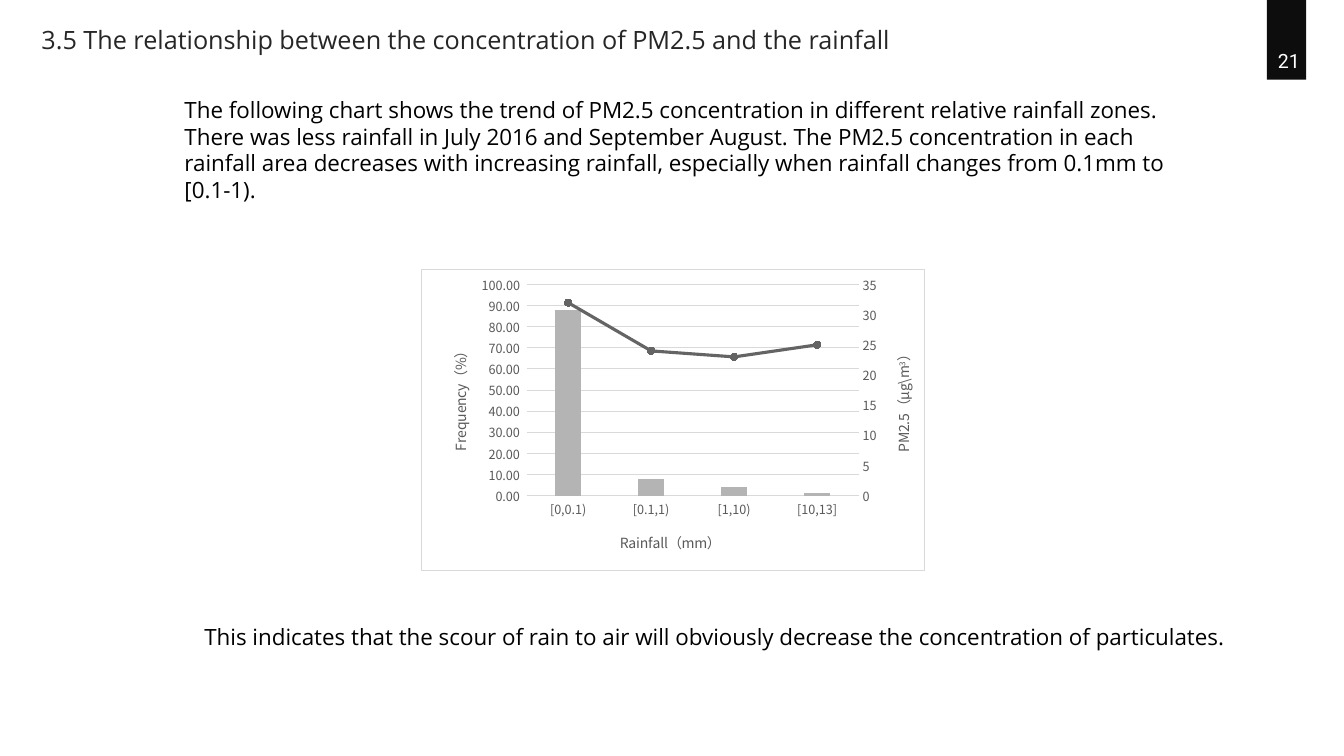
from copy import deepcopy

from lxml.etree import SubElement
from pptx import Presentation
from pptx.chart.axis import ValueAxis
from pptx.chart.data import CategoryChartData
from pptx.dml.color import RGBColor
from pptx.enum.chart import XL_CHART_TYPE, XL_MARKER_STYLE, XL_TICK_LABEL_POSITION, XL_TICK_MARK
from pptx.enum.shapes import MSO_SHAPE
from pptx.enum.text import MSO_ANCHOR, PP_ALIGN
from pptx.oxml import parse_xml
from pptx.oxml.ns import nsdecls, qn
from pptx.util import Cm, Pt

BLACK = RGBColor(0x00, 0x00, 0x00)
TAB_BLACK = RGBColor(0x0D, 0x0D, 0x0D)
WHITE = RGBColor(0xFF, 0xFF, 0xFF)
TITLE_GREY = RGBColor(0x26, 0x26, 0x26)
AXIS_GREY = RGBColor(0x59, 0x59, 0x59)
RULE_GREY = RGBColor(0xD9, 0xD9, 0xD9)
BAR_GREY = RGBColor(0xB4, 0xB4, 0xB4)
LINE_GREY = RGBColor(0x64, 0x64, 0x64)

TEXT_FONT = "Open Sans"
NUMBER_FONT = "Roboto"
CHART_FONT = "Noto Sans CJK SC"

TITLE = "3.5 The relationship between the concentration of PM2.5 and the rainfall"
INTRODUCTION = (
    "The following chart shows the trend of PM2.5 concentration in different relative "
    "rainfall zones. There was less rainfall in July 2016 and September August. The PM2.5 "
    "concentration in each rainfall area decreases with increasing rainfall, especially when "
    "rainfall changes from 0.1mm to [0.1-1)."
)
CONCLUSION = (
    "This indicates that the scour of rain to air will obviously decrease the "
    "concentration of particulates."
)
RAINFALL_ZONES = ["[0,0.1)", "[0.1,1)", "[1,10)", "[10,13]"]
FREQUENCY = [88, 8, 4, 1]
CONCENTRATION = [32, 24, 23, 25]


def style_font(font, name, size, color):
    font.name = name
    font.size = Pt(size)
    font.bold = False
    font.color.rgb = color


def write_text(shape, text, name, size, color, align=PP_ALIGN.LEFT, anchor=MSO_ANCHOR.TOP):
    frame = shape.text_frame
    frame.word_wrap = True
    frame.vertical_anchor = anchor
    para = frame.paragraphs[0]
    para.alignment = align
    span = para.add_run()
    span.text = text
    style_font(span.font, name, size, color)


def add_title(page, box):
    title = page.shapes.title
    title.left, title.top, title.width, title.height = box
    write_text(title, TITLE, TEXT_FONT, 18, TITLE_GREY)


def add_body_text(page, box, text):
    write_text(page.shapes.add_textbox(*box), text, TEXT_FONT, 16, BLACK)


def add_page_tab(page, box, number):
    left, top, width, height = box
    tab = page.shapes.add_shape(MSO_SHAPE.RECTANGLE, *box)
    tab.shadow.inherit = False
    tab.fill.solid()
    tab.fill.fore_color.rgb = TAB_BLACK
    tab.line.fill.background()
    label = page.shapes.add_textbox(left - Cm(0.36), top + Cm(1.09), width + Cm(0.84), Cm(0.86))
    write_text(label, number, NUMBER_FONT, 14, WHITE, PP_ALIGN.CENTER, MSO_ANCHOR.MIDDLE)


def remove_children(parent, tag):
    for child in parent.findall(qn(tag)):
        parent.remove(child)


def place(layout, **numbers):
    """Fix a chart part at fractions of the chart's size."""
    manual = SubElement(layout, qn("c:manualLayout"))
    for name, value in numbers.items():
        SubElement(manual, qn("c:" + name)).set("val", str(value))


def format_axis(axis, pieces, x, y, rotation=0):
    """Style an axis and its title; pieces are (text, is superscript) pairs."""
    axis.major_tick_mark = axis.minor_tick_mark = XL_TICK_MARK.NONE
    axis.tick_label_position = XL_TICK_LABEL_POSITION.NEXT_TO_AXIS
    style_font(axis.tick_labels.font, CHART_FONT, 9, AXIS_GREY)
    axis.format.line.fill.background()
    frame = axis.axis_title.text_frame
    frame._txBody.find(qn("a:bodyPr")).set("rot", str(rotation * 60000))
    for text, raised in pieces:
        span = frame.paragraphs[0].add_run()
        span.text = text
        style_font(span.font, CHART_FONT, 10, AXIS_GREY)
        properties = span._r.get_or_add_rPr()
        SubElement(properties, qn("a:ea")).set("typeface", CHART_FONT)
        if raised:
            properties.set("baseline", "30000")
    title = axis.axis_title._element
    remove_children(title, "c:layout")
    layout = parse_xml(f"<c:layout {nsdecls('c')}/>")
    title.find(qn("c:tx")).addnext(layout)
    place(layout, xMode="edge", yMode="edge", x=x, y=y)


def move_to_right_axis(chart):
    """Turn the second series into a line on its own axis, and return that axis."""
    area = chart._chartSpace.chart.plotArea
    bars = area.find(qn("c:barChart"))
    series = bars.findall(qn("c:ser"))[1]
    remove_children(series, "c:invertIfNegative")
    line = parse_xml(
        f'<c:lineChart {nsdecls("c")}><c:grouping val="standard"/><c:varyColors val="0"/>'
        '<c:marker val="1"/><c:axId val="5001"/><c:axId val="5002"/></c:lineChart>'
    )
    line.insert(2, series)
    bars.addnext(line)
    left = area.find(qn("c:valAx"))
    zones, right = deepcopy(area.find(qn("c:catAx"))), deepcopy(left)
    left.addnext(zones)
    zones.addnext(right)
    for axis, number, crossed in ((zones, "5001", "5002"), (right, "5002", "5001")):
        axis.find(qn("c:axId")).set("val", number)
        axis.find(qn("c:crossAx")).set("val", crossed)
    zones.find(qn("c:delete")).set("val", "1")
    right.find(qn("c:axPos")).set("val", "r")
    right.find(qn("c:crosses")).set("val", "max")
    return ValueAxis(right)


def set_scale(axis, maximum, step, number_format):
    axis.minimum_scale, axis.maximum_scale, axis.major_unit = 0, maximum, step
    axis.tick_labels.number_format = number_format
    axis.tick_labels.number_format_is_linked = False


def format_series(chart):
    bars, lines = chart.plots
    bars.gap_width, bars.overlap, bars.vary_by_categories = 219, -27, False
    fill = bars.series[0].format.fill
    fill.solid()
    fill.fore_color.rgb = BAR_GREY
    trend = lines.series[0]
    trend.smooth = False
    trend.format.line.color.rgb = LINE_GREY
    trend.format.line.width = Pt(2.25)
    trend.marker.style, trend.marker.size = XL_MARKER_STYLE.CIRCLE, 5
    trend.marker.format.fill.solid()
    trend.marker.format.fill.fore_color.rgb = LINE_GREY
    trend.marker.format.line.color.rgb = LINE_GREY


def frame_chart(chart):
    """Give the chart its background, border and plot position."""
    chart._chartSpace.chart.addnext(parse_xml(
        f'<c:spPr {nsdecls("c", "a")}><a:solidFill><a:srgbClr val="{WHITE}"/></a:solidFill>'
        f'<a:ln w="{Pt(0.75)}"><a:solidFill><a:srgbClr val="{RULE_GREY}"/></a:solidFill></a:ln></c:spPr>'
    ))
    area = chart._chartSpace.chart.plotArea
    remove_children(area, "c:layout")
    layout = parse_xml(f"<c:layout {nsdecls('c')}/>")
    area.insert(0, layout)
    place(layout, layoutTarget="inner", xMode="edge", yMode="edge", x=0.21, y=0.05, w=0.66, h=0.7)


def add_rainfall_chart(page, box):
    data = CategoryChartData()
    data.categories = RAINFALL_ZONES
    data.add_series("Series 1", FREQUENCY)
    data.add_series("Series 2", CONCENTRATION)
    chart = page.shapes.add_chart(XL_CHART_TYPE.COLUMN_CLUSTERED, *box, data).chart
    chart.has_legend = chart.has_title = False
    style_font(chart.font, CHART_FONT, 10, BLACK)
    frame_chart(chart)
    rainfall, frequency = chart.category_axis, chart.value_axis
    frequency.has_major_gridlines = False
    concentration = move_to_right_axis(chart)
    format_axis(rainfall, [("Rainfall（mm）", False)], 0.39, 0.86)
    format_axis(frequency, [("Frequency（%）", False)], 0.05, 0.24, -90)
    format_axis(concentration, [("PM2.5（μg\\m", False), ("3", True), ("）", False)], 0.93, 0.25, -90)
    set_scale(frequency, 100, 10, "0.00_ ")
    set_scale(concentration, 35, 5, "General")
    for line in (rainfall.format.line, frequency.major_gridlines.format.line):
        line.color.rgb = RULE_GREY
        line.width = Pt(0.75)
    format_series(chart)


def main():
    deck = Presentation()
    deck.slide_width, deck.slide_height = Cm(33.87), Cm(19.05)
    page = deck.slides.add_slide(deck.slide_layouts[5])
    add_page_tab(page, (Cm(31.93), Cm(0), Cm(0.99), Cm(2.01)), "21")
    add_title(page, (Cm(0.79), Cm(0.48), Cm(26.42), Cm(1.02)))
    add_body_text(page, (Cm(4.4), Cm(2.29), Cm(25.83), Cm(3)), INTRODUCTION)
    add_body_text(page, (Cm(4.9), Cm(15.57), Cm(28.9), Cm(0.94)), CONCLUSION)
    add_rainfall_chart(page, (Cm(10.6), Cm(6.78), Cm(12.7), Cm(7.62)))
    deck.save("out.pptx")


if __name__ == "__main__":
    main()
